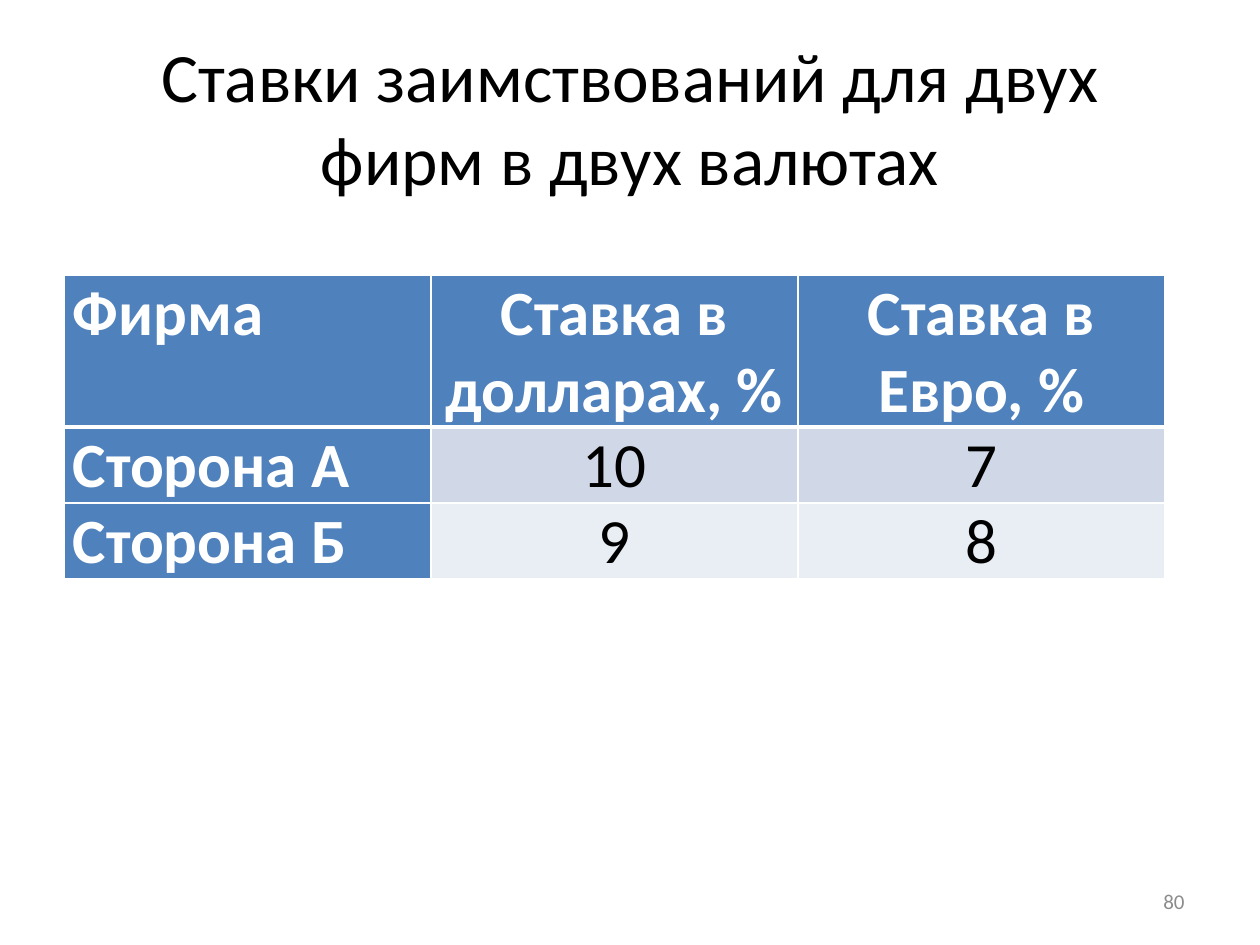
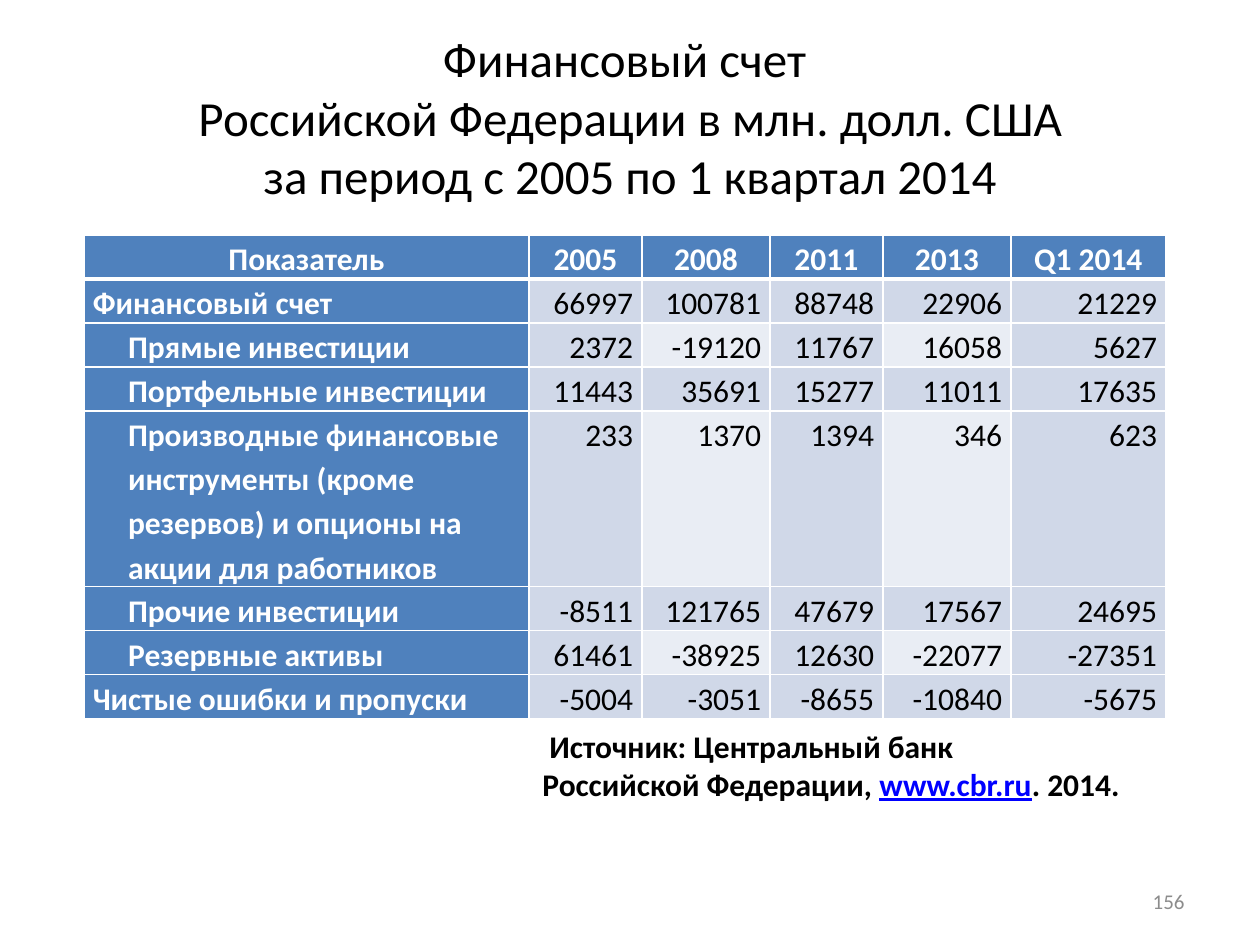
from lxml import etree
from pptx import Presentation
from pptx import util as u
from pptx.dml.color import RGBColor
from pptx.enum import text as t
from pptx.oxml.ns import qn

PX = 914400 // 126
FONT = "Calibri"
COLORS = {"ink": "000000", "paper": "FFFFFF", "head": "4F81BD", "band": "D0D8E8",
          "light": "E9EDF4", "number": "8C8C8C", "link": "0000FF"}
LEFT, CENTER, RIGHT = t.PP_ALIGN.LEFT, t.PP_ALIGN.CENTER, t.PP_ALIGN.RIGHT

RATES = [
    ("Фирма", "Ставка в долларах, %", "Ставка в Евро, %"),
    ("Сторона А", "10", "7"),
    ("Сторона Б", "9", "8"),
]
ACCOUNT = [
    ("Показатель", "2005", "2008", "2011", "2013", "Q1 2014"),
    ("Финансовый счет", "66997", "100781", "88748", "22906", "21229"),
    ("Прямые инвестиции", "2372", "-19120", "11767", "16058", "5627"),
    ("Портфельные инвестиции", "11443", "35691", "15277", "11011", "17635"),
    ("Производные финансовые инструменты (кроме резервов) и опционы на акции для работников",
     "233", "1370", "1394", "346", "623"),
    ("Прочие инвестиции", "-8511", "121765", "47679", "17567", "24695"),
    ("Резервные активы", "61461", "-38925", "12630", "-22077", "-27351"),
    ("Чистые ошибки и пропуски", "-5004", "-3051", "-8655", "-10840", "-5675"),
]


def px(*lengths):
    return [u.Emu(length * PX) for length in lengths]


def rgb(name):
    return RGBColor.from_string(COLORS[name])


def style(run, size, color="ink", bold=False, underline=False):
    font = run.font
    font.name, font.size, font.bold = FONT, u.Pt(size), bold
    font.underline = underline
    font.color.rgb = rgb(color)


def add_slide(prs, title, title_size, number):
    """Title-only slide with its title and page number."""
    slide = prs.slides.add_slide(prs.slide_layouts[5])
    heading = slide.shapes.title
    heading.left, heading.top, heading.width, heading.height = px(63, 38, 1134, 157)
    frame = heading.text_frame
    frame.text = title
    frame.auto_size = t.MSO_AUTO_SIZE.NONE
    frame.vertical_anchor = t.MSO_ANCHOR.MIDDLE
    frame.paragraphs[0].alignment = CENTER
    for run in frame.paragraphs[0].runs:
        style(run, title_size)

    page = slide.shapes.add_textbox(*px(903, 876, 294, 50)).text_frame
    page.word_wrap = True
    page.vertical_anchor = t.MSO_ANCHOR.MIDDLE
    page.text = number
    page.paragraphs[0].alignment = RIGHT
    style(page.paragraphs[0].runs[0], 12, "number")
    return slide


def add_borders(cell, row):
    """White grid, with a thick rule under the header row."""
    props = cell._tc.get_or_add_tcPr()
    thick = {0: "lnB", 1: "lnT"}.get(row)
    for side in ("lnL", "lnR", "lnT", "lnB"):
        line = etree.SubElement(props, qn(f"a:{side}"), w=str(u.Pt(3 if side == thick else 1)))
        fill = etree.SubElement(line, qn("a:solidFill"))
        etree.SubElement(fill, qn("a:srgbClr"), val=COLORS["paper"])


def format_cell(cell, row, content, size, fill, align, spacing):
    cell.text_frame.text = content
    cell.margin_left = cell.margin_right = u.Inches(0.07)
    cell.margin_top = cell.margin_bottom = 0
    add_borders(cell, row)
    cell.fill.solid()
    cell.fill.fore_color.rgb = rgb(fill)
    paragraph = cell.text_frame.paragraphs[0]
    paragraph.alignment = align
    paragraph.line_spacing = spacing
    is_head = fill == "head"
    style(paragraph.runs[0], size, "paper" if is_head else "ink", is_head)


def add_grid(slide, rows, left, top, widths, heights, size, number_align,
             spacing=1.0, band_columns=False):
    """Table with a header row, a header column and banded values."""
    frame = slide.shapes.add_table(len(rows), len(widths),
                                   *px(left, top, sum(widths), sum(heights)))
    table = frame.table
    table.first_row = table.horz_banding = False
    for column, width in zip(table.columns, px(*widths)):
        column.width = width
    for line, height in zip(table.rows, px(*heights)):
        line.height = height
    for r, values in enumerate(rows):
        for c, content in enumerate(values):
            light = r % 2 == 0 and (c % 2 == 0 or not band_columns)
            fill = "head" if r == 0 or c == 0 else "light" if light else "band"
            align = LEFT if c == 0 else CENTER if r == 0 else number_align
            format_cell(table.cell(r, c), r, content, size, fill, align, spacing)
    return table


def add_source(slide):
    box = slide.shapes.add_textbox(*px(530, 721, 630, 89)).text_frame
    box.word_wrap = True
    paragraph = box.paragraphs[0]
    paragraph.text = " Источник: Центральный банк \vРоссийской Федерации, "
    for run in paragraph.runs:
        style(run, 18, bold=True)
    for content, color, underline in (("www.cbr.ru", "link", True), (". 2014.", "ink", False)):
        run = paragraph.add_run()
        run.text = content
        style(run, 18, color, True, underline)


def main():
    prs = Presentation()
    prs.slide_width, prs.slide_height = u.Inches(10), u.Inches(7.5)

    # Borrowing rates
    rates = add_slide(prs, "Ставки заимствований для двух фирм в двух валютах", 39.6, "80")
    add_grid(rates, RATES, 64, 275, [367] * 3, [152, 76, 76], 36, CENTER)

    # Financial account
    account = add_slide(prs, "Финансовый счет \vРоссийской Федерации в млн. долл. США\v"
                             "за период с 2005 по 1 квартал 2014", 28, "156")
    heights = [44] * 4 + [176] + [44] * 3
    table = add_grid(account, ACCOUNT, 84, 235, [445, 113, 128, 113, 128, 155], heights,
                     18, RIGHT, spacing=1.15, band_columns=True)
    for cell in table.rows[0].cells:
        cell.vertical_anchor = t.MSO_ANCHOR.MIDDLE
    table.cell(0, 0).text_frame.paragraphs[0].alignment = CENTER
    for r in range(2, 7):  # components of the account are indented
        props = table.cell(r, 0).text_frame.paragraphs[0]._p.get_or_add_pPr()
        props.set("marL", str(u.Inches(0.28)))
        props.set("indent", "0")
    add_source(account)

    prs.save("out.pptx")


if __name__ == "__main__":
    main()
